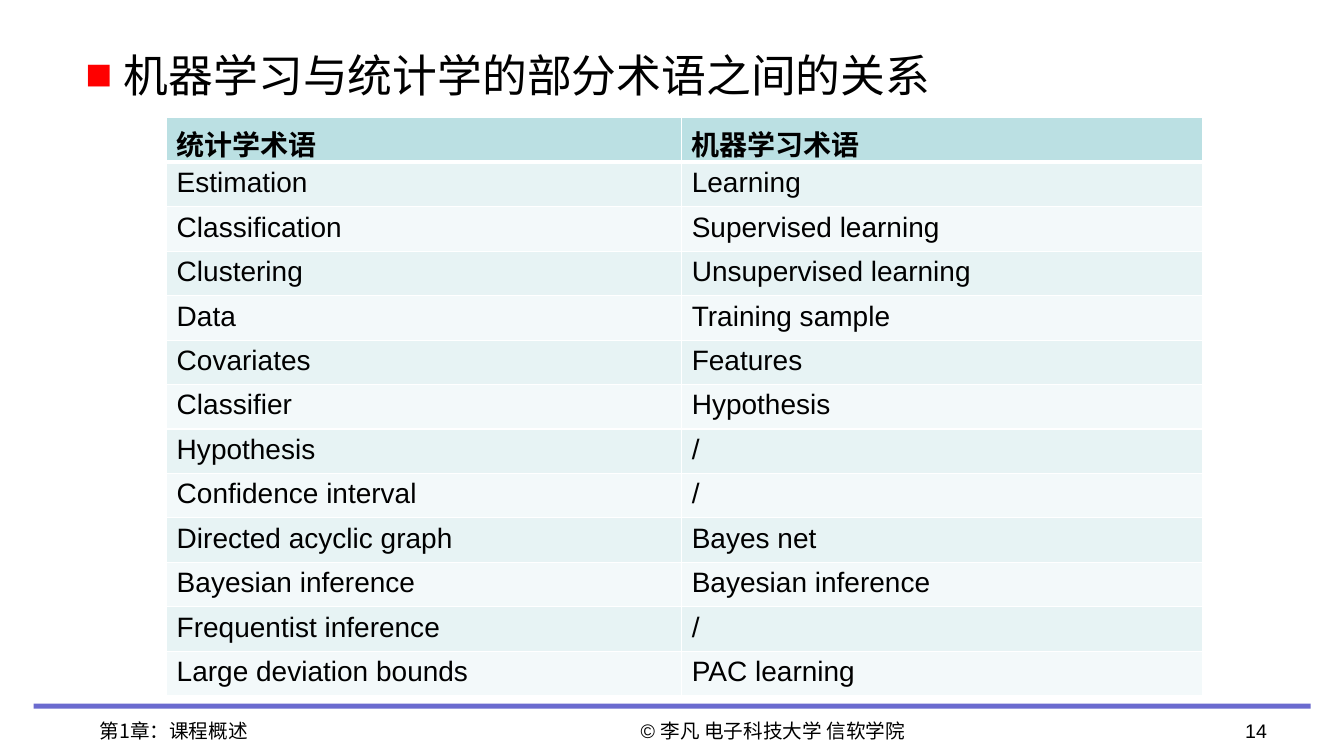
from lxml import etree
from pptx import Presentation
from pptx.dml.color import RGBColor
from pptx.enum.shapes import MSO_SHAPE
from pptx.enum.text import PP_ALIGN
from pptx.oxml.ns import qn
from pptx.util import Cm, Pt

RECTANGLE = MSO_SHAPE.RECTANGLE
LEFT, CENTER, RIGHT = PP_ALIGN.LEFT, PP_ALIGN.CENTER, PP_ALIGN.RIGHT
CJK_FONT = "Noto Sans CJK SC"
COLORS = {
    "text": "000000",
    "bullet": "FF0000",
    "rule": "6B6BCF",
    "header": "BBE0E3",
    "odd": "E7F3F4",
    "even": "F3F9FA",
    "border": "FFFFFF",
}


def style_text(paragraph, size, latin="Arial", bold=False):
    paragraph.font.size = Pt(size)
    paragraph.font.name = latin
    paragraph.font.bold = bold
    paragraph.font.color.rgb = RGBColor.from_string(COLORS["text"])
    for run in paragraph.runs:
        etree.SubElement(run._r.get_or_add_rPr(), qn("a:ea"), typeface=CJK_FONT)


def add_border(cell, side, points):
    line = etree.SubElement(cell._tc.get_or_add_tcPr(), qn(f"a:{side}"), w=str(Pt(points)))
    fill = etree.SubElement(line, qn("a:solidFill"))
    etree.SubElement(fill, qn("a:srgbClr"), val=COLORS["border"])


prs = Presentation()
prs.slide_width, prs.slide_height = Cm(33.87), Cm(19.05)
slide = prs.slides.add_slide(prs.slide_layouts[6])

footer_rule = slide.shapes.add_shape(RECTANGLE, Cm(0.85), Cm(17.73), Cm(32.18), Cm(0.13))
footer_rule.shadow.inherit = False
footer_rule.fill.solid()
footer_rule.fill.fore_color.rgb = RGBColor.from_string(COLORS["rule"])
footer_rule.line.fill.background()

heading = slide.shapes.add_textbox(Cm(1.9), Cm(1.07), Cm(30.68), Cm(15.95)).text_frame
heading.word_wrap = True
topic = heading.paragraphs[0]
topic.text = "机器学习与统计学的部分术语之间的关系"
topic_format = topic._p.get_or_add_pPr()
topic_format.set("marL", str(Cm(0.97)))
topic_format.set("indent", str(-Cm(0.97)))
bullet_color = etree.SubElement(topic_format, qn("a:buClr"))
etree.SubElement(bullet_color, qn("a:srgbClr"), val=COLORS["bullet"])
etree.SubElement(topic_format, qn("a:buFont"), typeface="Arial")
etree.SubElement(topic_format, qn("a:buChar"), char="■")
style_text(topic, 32)

footers = [
    ("第1章：课程概述", 2.26, 8.74, LEFT, CJK_FONT),
    ("© 李凡 电子科技大学 信软学院", 14.12, 10.72, CENTER, "Arial"),
    ("14", 27.94, 4.24, RIGHT, "Arial"),
]
for text, left, width, alignment, latin in footers:
    footer = slide.shapes.add_textbox(Cm(left), Cm(17.98), Cm(width), Cm(0.7)).text_frame
    footer.word_wrap = True
    footer.paragraphs[0].text = text
    footer.paragraphs[0].alignment = alignment
    style_text(footer.paragraphs[0], 14, latin)

terms = [
    ("统计学术语", "机器学习术语"),
    ("Estimation", "Learning"),
    ("Classification", "Supervised learning"),
    ("Clustering", "Unsupervised learning"),
    ("Data", "Training sample"),
    ("Covariates", "Features"),
    ("Classifier", "Hypothesis"),
    ("Hypothesis", "/"),
    ("Confidence interval", "/"),
    ("Directed acyclic graph", "Bayes net"),
    ("Bayesian inference", "Bayesian inference"),
    ("Frequentist inference", "/"),
    ("Large deviation bounds", "PAC learning"),
]
row_height = Cm(1.12)
glossary = slide.shapes.add_table(
    len(terms), 2, Cm(4.2), Cm(2.97), Cm(26.11), row_height * len(terms)
).table
glossary.columns[0].width, glossary.columns[1].width = Cm(12.98), Cm(13.13)
for row, pair in enumerate(terms):
    glossary.rows[row].height = row_height
    band = "header" if row == 0 else "odd" if row % 2 else "even"
    for column, term in enumerate(pair):
        cell = glossary.cell(row, column)
        cell.text = term
        style_text(cell.text_frame.paragraphs[0], 20, bold=row == 0)
        add_border(cell, "lnL", 1)
        add_border(cell, "lnR", 1)
        add_border(cell, "lnT", 3 if row == 1 else 1)
        add_border(cell, "lnB", 3 if row == 0 else 1)
        cell.fill.solid()
        cell.fill.fore_color.rgb = RGBColor.from_string(COLORS[band])

prs.save("out.pptx")
